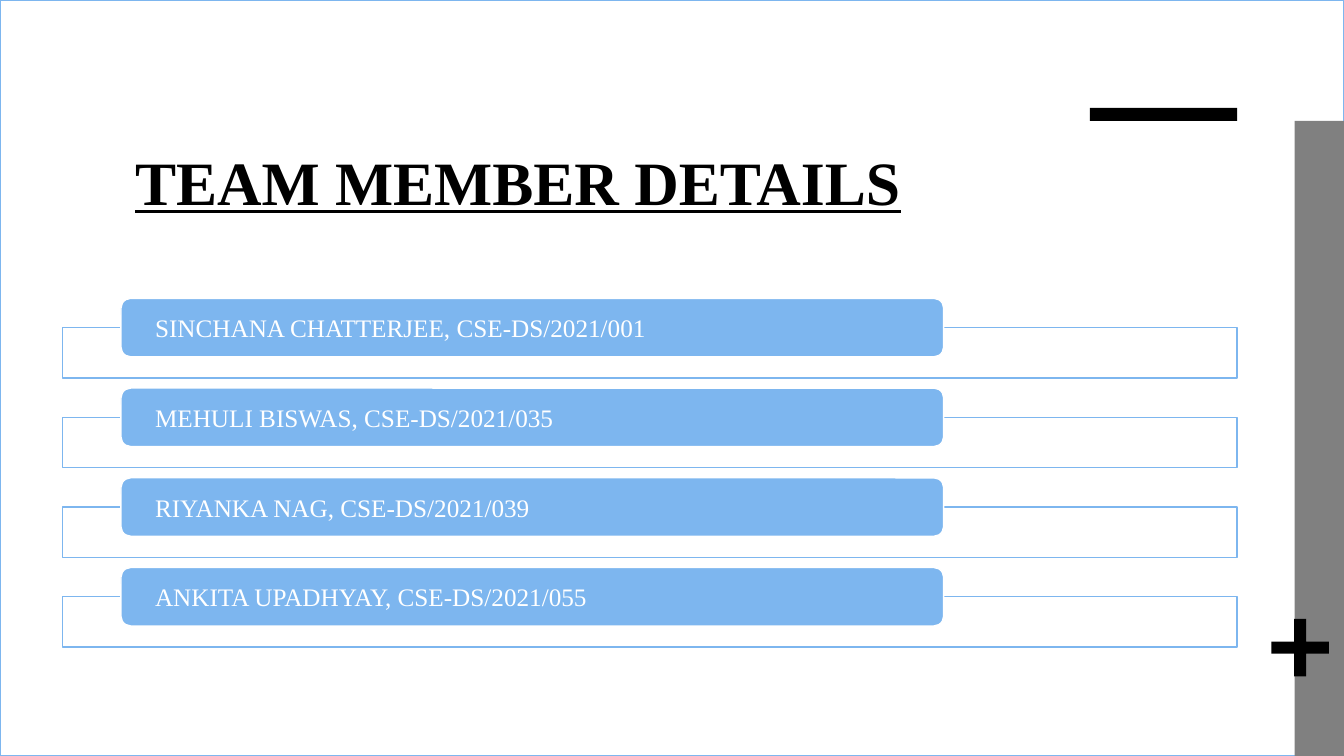
from lxml.etree import SubElement
from pptx import Presentation
from pptx.dml.color import RGBColor
from pptx.enum.shapes import MSO_SHAPE
from pptx.enum.text import MSO_ANCHOR, PP_ALIGN
from pptx.oxml.ns import qn
from pptx.util import Inches, Pt

BLACK = RGBColor(0x00, 0x00, 0x00)
WHITE = RGBColor(0xFF, 0xFF, 0xFF)
GREY = RGBColor(0x80, 0x80, 0x80)
BLUE = RGBColor(0x7D, 0xB6, 0xEF)

MEMBERS = [
    "SINCHANA CHATTERJEE, CSE-DS/2021/001",
    "MEHULI BISWAS, CSE-DS/2021/035",
    "RIYANKA NAG, CSE-DS/2021/039",
    "ANKITA UPADHYAY, CSE-DS/2021/055",
]
FIRST_ROW_TOP = 2.96
ROW_PITCH = 0.89


class TeamSlide:
    """Draws the team slide's elements in one shared style."""

    font_name = "Times New Roman"

    def __init__(self, slide):
        self.slide = slide

    def block(self, kind, left, top, width, height, fill, outline=None):
        block = self.slide.shapes.add_shape(
            kind, Inches(left), Inches(top), Inches(width), Inches(height))
        block.shadow.inherit = False
        block.fill.solid()
        block.fill.fore_color.rgb = fill
        if outline is None:
            block.line.fill.background()
        else:
            block.line.color.rgb = outline
            block.line.width = Pt(1)
        return block

    def label(self, holder, text, size, color, align):
        frame = holder.text_frame
        frame.word_wrap = True
        frame.vertical_anchor = MSO_ANCHOR.MIDDLE
        frame.text = text
        paragraph = frame.paragraphs[0]
        paragraph.alignment = align
        font = paragraph.runs[0].font
        font.name = self.font_name
        font.size = Pt(size)
        font.color.rgb = color
        return font

    def title(self, text):
        heading = self.slide.shapes.add_textbox(
            Inches(0.62), Inches(1.39), Inches(9.04), Inches(0.8))
        font = self.label(heading, text, 44, BLACK, PP_ALIGN.CENTER)
        font.bold = True
        font.underline = True

    def member(self, top, text):
        track = self.block(MSO_SHAPE.RECTANGLE, 0.62, top + 0.29, 11.65, 0.5, WHITE, BLUE)
        color = track._element.spPr.find(qn("a:solidFill"))[0]
        SubElement(color, qn("a:alpha"), val="90000")
        banner = self.block(MSO_SHAPE.ROUNDED_RECTANGLE, 1.2, top, 8.16, 0.58, BLUE, WHITE)
        frame = banner.text_frame
        frame.margin_left = frame.margin_right = Inches(0.31)
        frame.margin_top = frame.margin_bottom = Inches(0)
        self.label(banner, text, 18, WHITE, PP_ALIGN.LEFT)


def main():
    presentation = Presentation()
    presentation.slide_width = Inches(13.33)
    presentation.slide_height = Inches(7.5)
    team = TeamSlide(presentation.slides.add_slide(presentation.slide_layouts[6]))

    team.block(MSO_SHAPE.RECTANGLE, 0, 0, 13.33, 7.5, WHITE, BLUE)
    team.title("TEAM MEMBER DETAILS")
    team.block(MSO_SHAPE.RECTANGLE, 12.84, 1.2, 0.49, 6.3, GREY)
    team.block(MSO_SHAPE.RECTANGLE, 10.81, 1.07, 1.46, 0.13, BLACK)
    plus = team.block(MSO_SHAPE.CROSS, 12.61, 6.14, 0.57, 0.57, BLACK)
    plus.adjustments[0] = 0.395
    for row, member in enumerate(MEMBERS):
        team.member(FIRST_ROW_TOP + row * ROW_PITCH, member)

    presentation.save("out.pptx")


if __name__ == "__main__":
    main()
